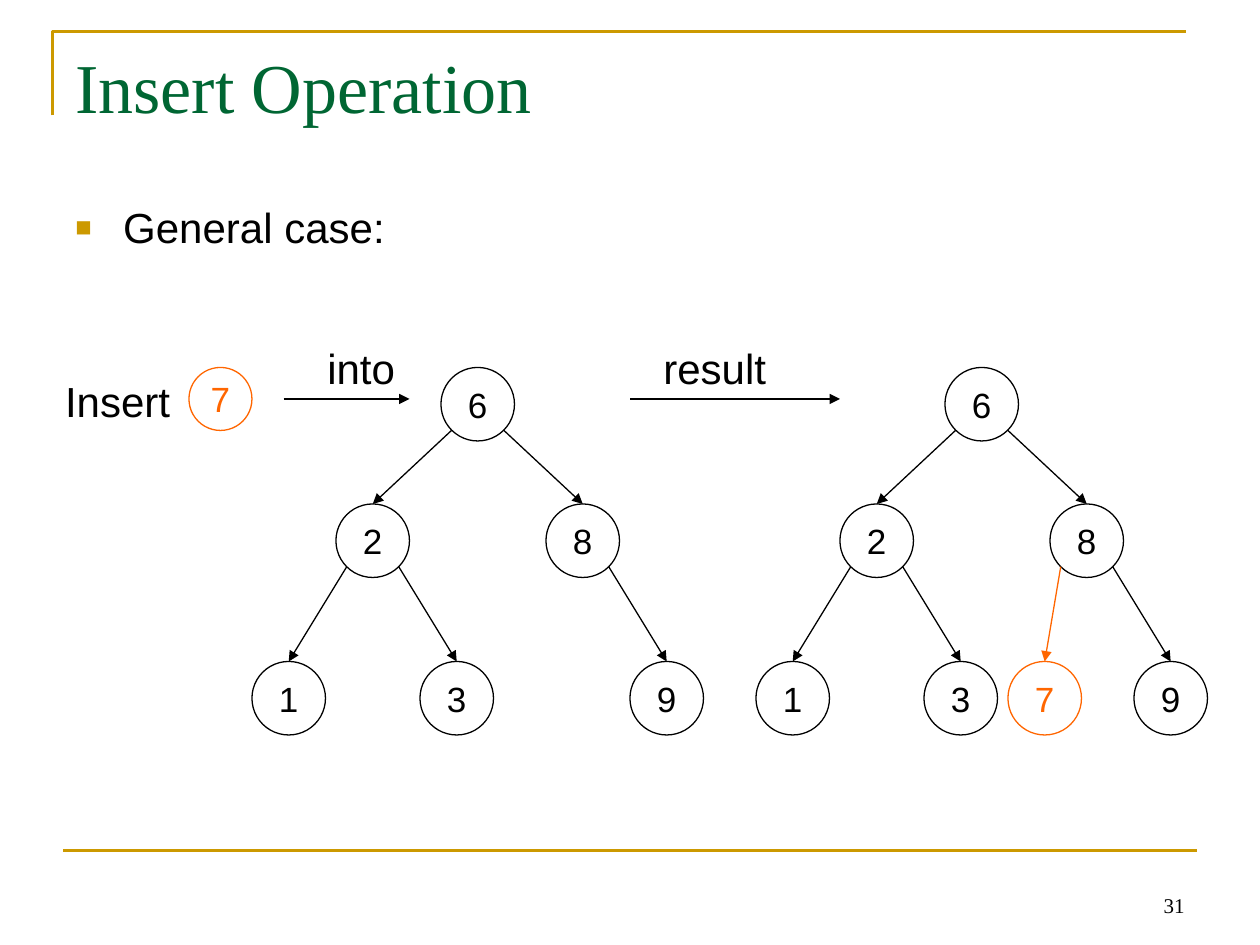
from math import sqrt

from lxml import etree
from pptx import Presentation
from pptx import util as u
from pptx.dml.color import RGBColor
from pptx.enum import shapes, text
from pptx.oxml import ns

BLACK = RGBColor(0x00, 0x00, 0x00)
GOLD = RGBColor(0xCC, 0x99, 0x00)
GREEN = RGBColor(0x00, 0x66, 0x33)
ORANGE = RGBColor(0xFF, 0x66, 0x00)
SERIF, SANS = "Times New Roman", "Arial"
LEFT, CENTER, RIGHT = text.PP_ALIGN.LEFT, text.PP_ALIGN.CENTER, text.PP_ALIGN.RIGHT
TOP, MIDDLE, BOTTOM = (text.MSO_ANCHOR.TOP, text.MSO_ANCHOR.MIDDLE,
                       text.MSO_ANCHOR.BOTTOM)

COLS, ROWS = 120, 90
NODE = 7
TREE = {"6": (42, 35), "2": (32, 48), "8": (52, 48),
        "1": (24, 63), "3": (40, 63), "9": (60, 63)}
EDGES = [("6", "2"), ("6", "8"), ("2", "1"), ("2", "3"), ("8", "9")]


def write(tf, words, size=24, font=SANS, color=BLACK, align=LEFT, anchor=TOP,
          wrap=True, bullet=None):
    tf.word_wrap = wrap
    tf.vertical_anchor = anchor
    p = tf.paragraphs[0]
    p.alignment = align
    if bullet:
        pPr = p._p.get_or_add_pPr()
        pPr.set("marL", str(u.Inches(0.38)))
        pPr.set("indent", str(-u.Inches(0.38)))
        clr = etree.SubElement(pPr, ns.qn("a:buClr"))
        etree.SubElement(clr, ns.qn("a:srgbClr"), val=str(GOLD))
        etree.SubElement(pPr, ns.qn("a:buSzPct"), val="65000")
        etree.SubElement(pPr, ns.qn("a:buFont"), typeface=SANS)
        etree.SubElement(pPr, ns.qn("a:buChar"), char=bullet)
    r = p.add_run()
    r.text = words
    r.font.size, r.font.name = u.Pt(size), font
    r.font.color.rgb = color


class Board:
    def __init__(self, prs):
        self.s = prs.slides.add_slide(prs.slide_layouts[6])
        self.col = prs.slide_width / COLS
        self.row = prs.slide_height / ROWS

    def place(self, *lengths):
        return [round(n * (self.row if i % 2 else self.col))
                for i, n in enumerate(lengths)]

    def label(self, words, box, **style):
        sp = self.s.shapes.add_textbox(*self.place(*box))
        write(sp.text_frame, words, **style)

    def line(self, start, end, color=BLACK, width=0.75, arrow=True):
        cx = self.s.shapes.add_connector(
            shapes.MSO_CONNECTOR.STRAIGHT, *self.place(*start, *end))
        cx.line.color.rgb = color
        cx.line.width = u.Pt(width)
        if arrow:
            etree.SubElement(cx.line._get_or_add_ln(), ns.qn("a:tailEnd"),
                             type="triangle")
        etree.SubElement(cx._element.spPr, ns.qn("a:effectLst"))

    def corner(self, points, color, width):
        start, *rest = [self.place(*pt) for pt in points]
        fb = self.s.shapes.build_freeform(*start)
        fb.add_line_segments(rest, close=False)
        sp = fb.convert_to_shape()
        sp.shadow.inherit = False
        sp.fill.background()
        sp.line.color.rgb = color
        sp.line.width = u.Pt(width)

    def node(self, key, at, size=NODE, color=BLACK):
        sp = self.s.shapes.add_shape(shapes.MSO_SHAPE.OVAL,
                                     *self.place(*at, size, size))
        sp.shadow.inherit = False
        sp.fill.background()
        sp.line.color.rgb = color
        sp.line.width = u.Pt(0.75)
        tf = sp.text_frame
        tf.margin_left = tf.margin_right = tf.margin_top = tf.margin_bottom = 0
        write(tf, key, size=20, color=color, align=CENTER, anchor=MIDDLE,
              wrap=False)

    def edge(self, parent, child, color=BLACK):
        half = NODE / 2
        reach = half / sqrt(2)
        side = reach if child[0] > parent[0] else -reach
        self.line((parent[0] + half + side, parent[1] + half + reach),
                  (child[0] + half, child[1]), color)

    def tree(self, shift=0):
        spots = {key: (x + shift, y) for key, (x, y) in TREE.items()}
        for key, at in spots.items():
            self.node(key, at)
        for parent, child in EDGES:
            self.edge(spots[parent], spots[child])
        return spots


def main():
    prs = Presentation()
    prs.slide_width, prs.slide_height = u.Inches(10), u.Inches(7.5)
    board = Board(prs)

    board.corner([(5, 11), (5, 3), (113, 3)], GOLD, 1.5)
    board.line((6, 81), (114, 81), GOLD, 1.5, arrow=False)
    board.label("31", (86, 82, 28, 6), size=12, font=SERIF, align=RIGHT,
                anchor=BOTTOM)
    board.label("Insert Operation", (6, 3.6, 108, 15), size=40, font=SERIF,
                color=GREEN)
    board.label("General case:", (6, 18.6, 108, 59.4), bullet="■")

    board.label("Insert", (5, 35.2, 12.4, 6), align=CENTER, wrap=False)
    board.node("7", (18, 35), size=6, color=ORANGE)
    board.line((27, 38), (39, 38))
    board.label("into", (30, 32, 12, 6), wrap=False)
    board.tree()

    board.line((60, 38), (80, 38))
    board.label("result", (62, 32, 16, 6), wrap=False)
    result = board.tree(shift=48)
    added = (96, 63)
    board.node("7", added, color=ORANGE)
    board.edge(result["8"], added, ORANGE)

    prs.save("out.pptx")


if __name__ == "__main__":
    main()
